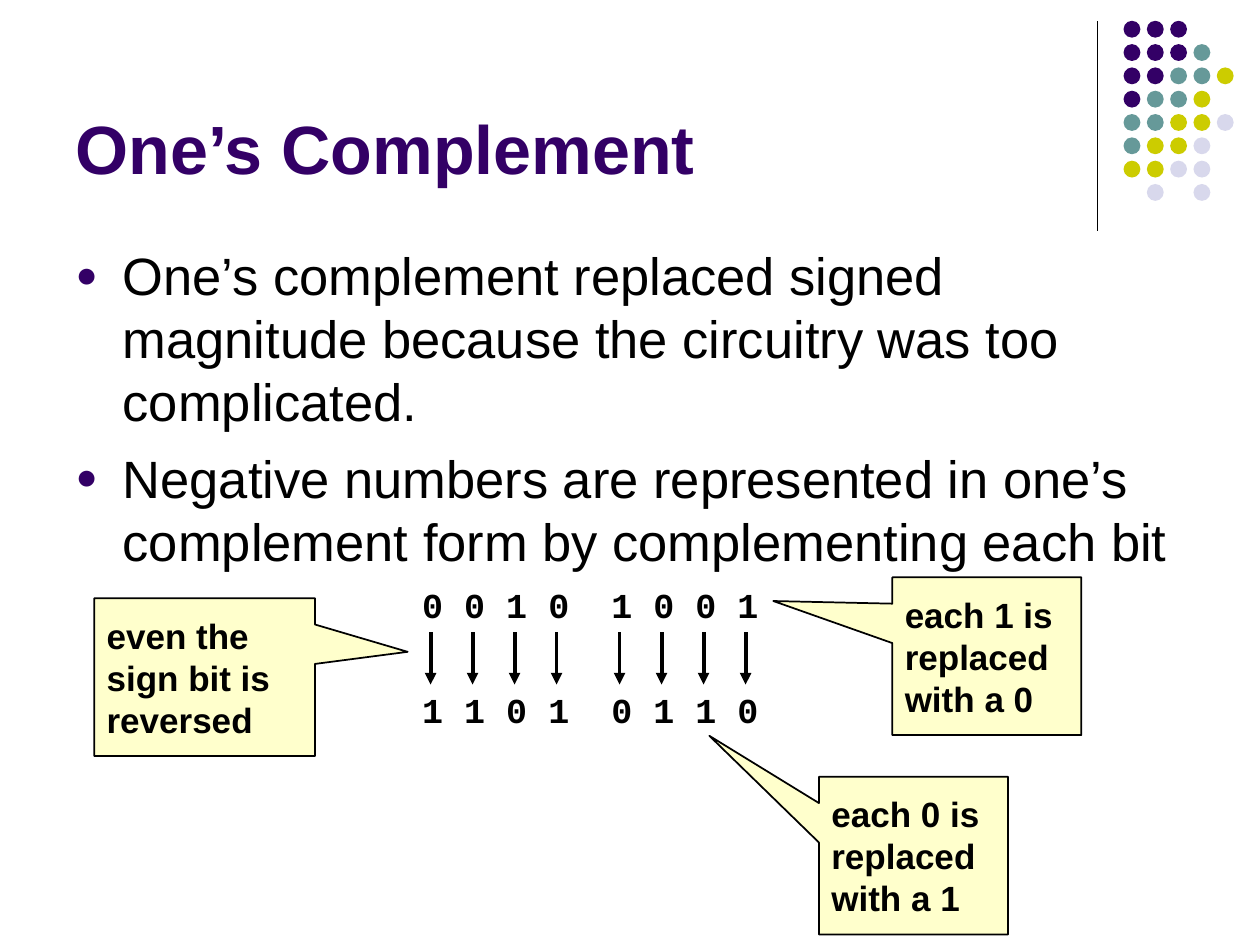
from dataclasses import dataclass

from lxml import etree
from pptx import Presentation
from pptx.dml.color import RGBColor
from pptx.enum import shapes as kinds, text as txt
from pptx.oxml import ns
from pptx.util import Cm, Pt


@dataclass(frozen=True)
class Theme:
    ink: str = "000000"
    plum: str = "330066"
    teal: str = "669999"
    lime: str = "CCCC00"
    mist: str = "D8D8EC"
    note: str = "FFFFCC"
    sans: str = "Arial"
    mono: str = "Courier New"
    head: int = 39
    body: int = 30
    small: int = 20


T = Theme()
DOTS = ("PPP", "PPPT", "PPTTL", "PTTL", "TTLLM", "TLLM", "LLMM", " M M")
TONES = {"P": T.plum, "T": T.teal, "L": T.lime, "M": T.mist}
POINTS = (
    "One’s complement replaced signed magnitude because the circuitry was too complicated.",
    "Negative numbers are represented in one’s complement form by complementing each bit",
)
BITS = "0 0 1 0  1 0 0 1"
FLIPPED = "1 1 0 1  0 1 1 0"
# text, left, top, width, tip of the wedge
NOTES = (
    ("each 1 is replaced with a 0", 17.99, 11.64, 3.81, (-1.13, -0.35)),
    ("each 0 is replaced with a 1", 16.51, 15.66, 3.81, (-1.08, -0.76)),
    ("even the sign bit is reversed", 1.9, 12.06, 4.45, (0.92, -0.16)),
)


def apply(item, values):
    for name, value in values.items():
        setattr(item, name, value)


def rgb(tone):
    return RGBColor.from_string(tone)


def style(para, size, face=T.sans, tone=T.ink, bold=False):
    apply(para.font, {"size": Pt(size), "name": face, "bold": bold})
    para.font.color.rgb = rgb(tone)


def place(shape, left, top, width, height):
    apply(shape, {"left": Cm(left), "top": Cm(top),
                  "width": Cm(width), "height": Cm(height)})


def bullet(para):
    """Hang a plum dot in front of the paragraph."""
    props = para._p.get_or_add_pPr()
    apply_xml = {"marL": Cm(0.95), "indent": Cm(-0.95)}
    for name, value in apply_xml.items():
        props.set(name, str(int(value)))
    tone = etree.SubElement(props, ns.qn("a:buClr"))
    etree.SubElement(tone, ns.qn("a:srgbClr"), val=T.plum)
    etree.SubElement(props, ns.qn("a:buSzPct"), val="70000")
    etree.SubElement(props, ns.qn("a:buFont"), typeface=T.sans)
    etree.SubElement(props, ns.qn("a:buChar"), char="●")


def line(parent, x, top, end, width, arrow=False):
    """Draw a vertical line, with an arrowhead at its end if asked."""
    link = parent.add_connector(kinds.MSO_CONNECTOR.STRAIGHT,
                                Cm(x), Cm(top), Cm(x), Cm(end))
    link.line.width = Pt(width)
    link.line.color.rgb = rgb(T.ink)
    if arrow:
        etree.SubElement(link.line._get_or_add_ln(), ns.qn("a:tailEnd"), type="triangle")
    etree.SubElement(link._element.spPr, ns.qn("a:effectLst"))


def dots(slide):
    group = slide.shapes.add_group_shape().shapes
    size, step = Cm(0.34), 0.47
    for row, marks in enumerate(DOTS):
        for col, mark in enumerate(marks):
            if mark == " ":
                continue
            dot = group.add_shape(kinds.MSO_SHAPE.OVAL, Cm(22.65 + col * step),
                                  Cm(0.42 + row * step), size, size)
            dot.shadow.inherit = False
            dot.fill.solid()
            dot.fill.fore_color.rgb = rgb(TONES[mark])
            dot.line.fill.background()


def title(slide):
    shape = slide.shapes.title
    place(shape, 1.27, 0.33, 20.96, 3.6)
    frame = shape.text_frame
    frame.text = "One’s Complement"
    apply(frame, {"vertical_anchor": txt.MSO_ANCHOR.BOTTOM,
                  "auto_size": txt.MSO_AUTO_SIZE.NONE})
    para = frame.paragraphs[0]
    para.alignment = txt.PP_ALIGN.LEFT
    style(para, T.head, tone=T.plum, bold=True)


def body(slide):
    shape = slide.placeholders[1]
    place(shape, 1.27, 4.78, 22.86, 12.24)
    frame = shape.text_frame
    frame.text = "\n".join(POINTS)
    frame.auto_size = txt.MSO_AUTO_SIZE.NONE
    for num, para in enumerate(frame.paragraphs):
        bullet(para)
        para.space_before = Pt(7.5 if num else 0)
        style(para, T.body)


def bits(slide):
    """Show a byte, its complement and an arrow for each bit."""
    group = slide.shapes.add_group_shape().shapes
    for top, word in ((11.64, BITS), (13.76, FLIPPED)):
        box = group.add_textbox(Cm(8.26), Cm(top), Cm(7.29), Cm(1.11))
        frame = box.text_frame
        frame.text = word
        frame.word_wrap = False
        para = frame.paragraphs[0]
        para.alignment = txt.PP_ALIGN.CENTER
        style(para, T.small, T.mono, bold=True)
    step = 6.35 / (len(BITS) - 1)
    for col, bit in enumerate(BITS):
        if bit != " ":
            line(group, 8.68 + col * step, 12.75, 13.8, 2.25, arrow=True)


def note(slide, words, left, top, width, tip):
    shape = slide.shapes.add_shape(kinds.MSO_SHAPE.RECTANGULAR_CALLOUT,
                                   Cm(left), Cm(top), Cm(width), Cm(3.18))
    shape.shadow.inherit = False
    shape.adjustments[0], shape.adjustments[1] = tip
    shape.fill.solid()
    shape.fill.fore_color.rgb = rgb(T.note)
    shape.line.width = Pt(1)
    shape.line.color.rgb = rgb(T.ink)
    frame = shape.text_frame
    frame.text = words
    apply(frame, {"word_wrap": True, "vertical_anchor": txt.MSO_ANCHOR.MIDDLE})
    para = frame.paragraphs[0]
    para.alignment = txt.PP_ALIGN.LEFT
    style(para, T.small, bold=True)


def main():
    deck = Presentation()
    apply(deck, {"slide_width": Cm(25.4), "slide_height": Cm(19.05)})
    slide = deck.slides.add_slide(deck.slide_layouts[1])
    line(slide.shapes, 22.12, 0.43, 4.65, 0.75)
    dots(slide)
    title(slide)
    body(slide)
    bits(slide)
    for entry in NOTES:
        note(slide, *entry)
    deck.save("out.pptx")


if __name__ == "__main__":
    main()
